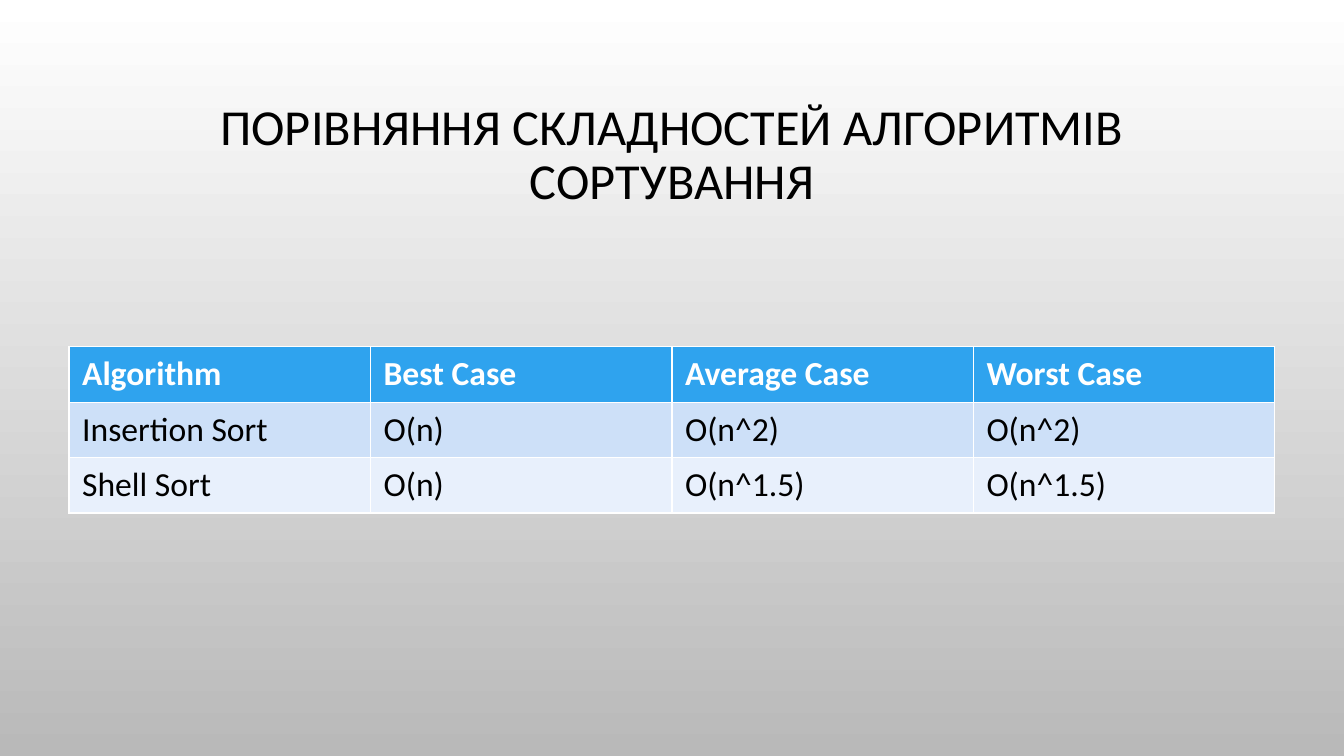
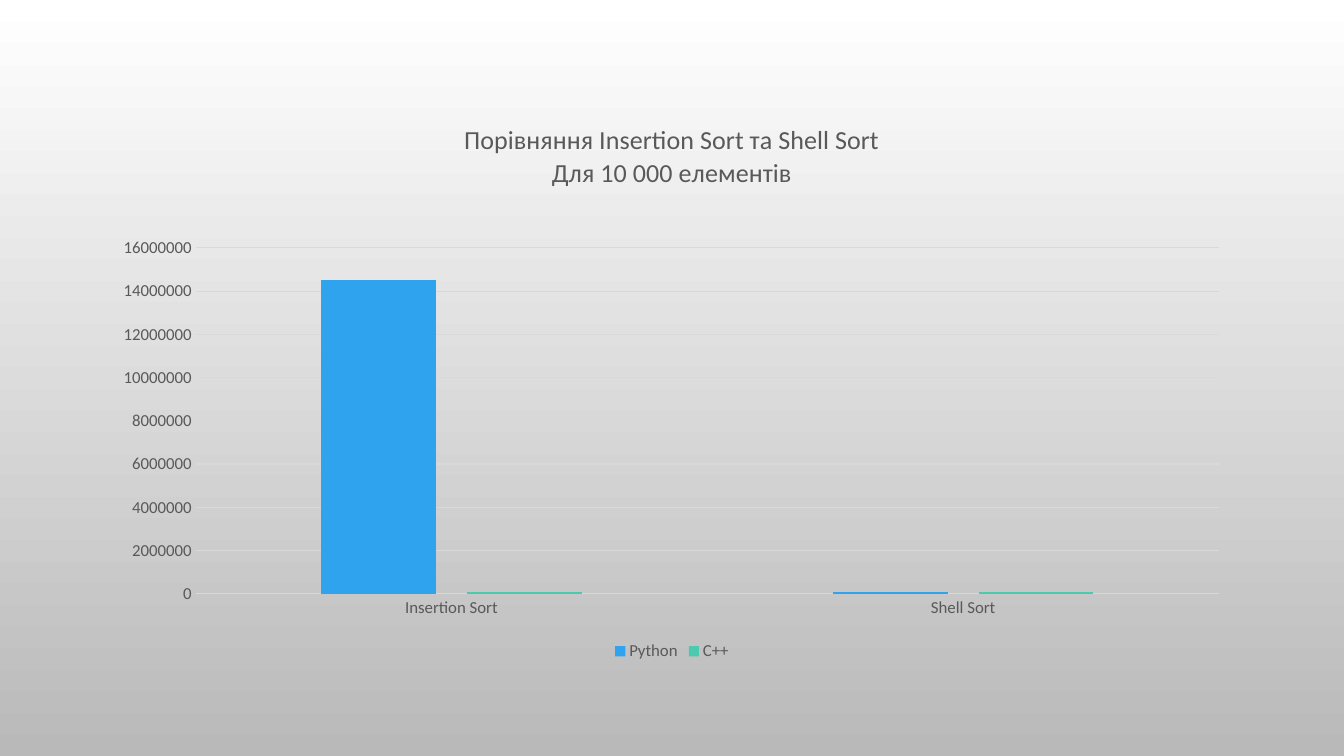
"""Build two slides that compare sorting algorithms: a table and a column chart."""
from lxml import etree
from pptx import Presentation
from pptx.chart.data import CategoryChartData
from pptx.dml.color import RGBColor
from pptx.enum.chart import XL_CHART_TYPE, XL_LEGEND_POSITION, XL_TICK_MARK
from pptx.enum.text import MSO_ANCHOR, MSO_AUTO_SIZE, PP_ALIGN
from pptx.oxml.ns import qn
from pptx.util import Inches, Pt

COLUMN = XL_CHART_TYPE.COLUMN_CLUSTERED
BOTTOM = XL_LEGEND_POSITION.BOTTOM
NO_TICK = XL_TICK_MARK.NONE
MIDDLE = MSO_ANCHOR.MIDDLE
NO_FIT = MSO_AUTO_SIZE.NONE
CENTER = PP_ALIGN.CENTER

FONT = "Calibri"
HEX = {
    "white": "FFFFFF", "shade": "B9B9B9", "black": "000000",
    "blue": "2FA3EE", "green": "4BCAAD", "band": "CDE0F8",
    "pale": "E8F0FC", "text": "595959", "grid": "D9D9D9",
}
RGB = {name: RGBColor.from_string(code) for name, code in HEX.items()}


def style(font, size, color, bold=False):
    font.name = FONT
    font.size = Pt(size)
    font.bold = bold
    font.color.rgb = RGB[color]


prs = Presentation()
prs.slide_width = Inches(13.33)
prs.slide_height = Inches(7.5)
WIDE, HIGH = prs.slide_width, prs.slide_height
EDGE = int(WIDE * 0.075)
BODY = WIDE - 2 * EDGE

back = prs.slide_master.background.fill
back.gradient()
back.gradient_angle = 270
for stop, color in zip(back.gradient_stops, ("white", "shade")):
    stop.color.rgb = RGB[color]

slide = prs.slides.add_slide(prs.slide_layouts[5])
title = slide.shapes.title
title.left, title.top = EDGE, int(HIGH * 0.09)
title.width, title.height = BODY, int(HIGH * 0.233)
frame = title.text_frame
frame.text = "ПОРІВНЯННЯ СКЛАДНОСТЕЙ АЛГОРИТМІВ СОРТУВАННЯ"
frame.word_wrap = True
frame.auto_size = NO_FIT
frame.vertical_anchor = MIDDLE
para = frame.paragraphs[0]
para.alignment = CENTER
para.line_spacing = 0.9
style(para.runs[0].font, 36, "black")

ROWS = [
    ("Algorithm", "Best Case", "Average Case", "Worst Case"),
    ("Insertion Sort", "O(n)", "O(n^2)", "O(n^2)"),
    ("Shell Sort", "O(n)", "O(n^1.5)", "O(n^1.5)"),
]
LOOKS = [("blue", "white", True), ("band", "black", False), ("pale", "black", False)]
COL, ROW = Inches(2.99), Inches(0.55)
span = COL * len(ROWS[0])
table = slide.shapes.add_table(
    len(ROWS), len(ROWS[0]), (WIDE - span) // 2, Inches(3.44),
    span, ROW * len(ROWS)).table
for r, (words, (fill, ink, bold)) in enumerate(zip(ROWS, LOOKS)):
    for c, word in enumerate(words):
        cell = table.cell(r, c)
        cell.text = word
        cell.margin_left = cell.margin_right = Inches(0.13)
        cell.margin_top = cell.margin_bottom = Inches(0.07)
        cell.fill.solid()
        cell.fill.fore_color.rgb = RGB[fill]
        style(cell.text_frame.paragraphs[0].runs[0].font, 24, ink, bold)

slide = prs.slides.add_slide(prs.slide_layouts[6])
data = CategoryChartData()
data.categories = ["Insertion Sort", "Shell Sort"]
data.add_series("Python", (14500000, 100000))
data.add_series("C++", (100000, 100000))
chart = slide.shapes.add_chart(
    COLUMN, EDGE, int(HIGH * 0.136), BODY, int(HIGH * 0.744), data).chart
style(chart.font, 12, "text")

head = chart.chart_title.text_frame
head.text = "Порівняння Insertion Sort та Shell Sort"
head.add_paragraph().text = "Для 10 000 елементів"
for para in head.paragraphs:
    para.alignment = CENTER
    style(para.runs[0].font, 18.6, "text")

chart.has_legend = True
chart.legend.position = BOTTOM
chart.legend.include_in_layout = False
style(chart.legend.font, 12, "text")

plot = chart.plots[0]
plot.gap_width = 219
plot.overlap = -27
plot.vary_by_categories = False
for series, color in zip(plot.series, ("blue", "green")):
    series.format.fill.solid()
    series.format.fill.fore_color.rgb = RGB[color]

cats, vals = chart.category_axis, chart.value_axis
for axis in (cats, vals):
    axis.major_tick_mark = axis.minor_tick_mark = NO_TICK
    style(axis.tick_labels.font, 12, "text")
vals.minimum_scale, vals.maximum_scale, vals.major_unit = 0, 16000000, 2000000
vals.format.line.fill.background()
for line in (cats.format.line, vals.major_gridlines.format.line):
    line.color.rgb = RGB["grid"]
    line.width = Pt(0.75)

area = chart.element.find(".//" + qn("c:plotArea"))
for old in area.findall(qn("c:layout")):
    area.remove(old)
layout = etree.Element(qn("c:layout"))
area.insert(0, layout)
manual = etree.SubElement(layout, qn("c:manualLayout"))
for tag, val in (("layoutTarget", "inner"), ("xMode", "edge"), ("yMode", "edge"),
                 ("x", "0.083"), ("y", "0.258"), ("w", "0.896"), ("h", "0.615")):
    etree.SubElement(manual, qn("c:" + tag)).set("val", val)

prs.save("out.pptx")
